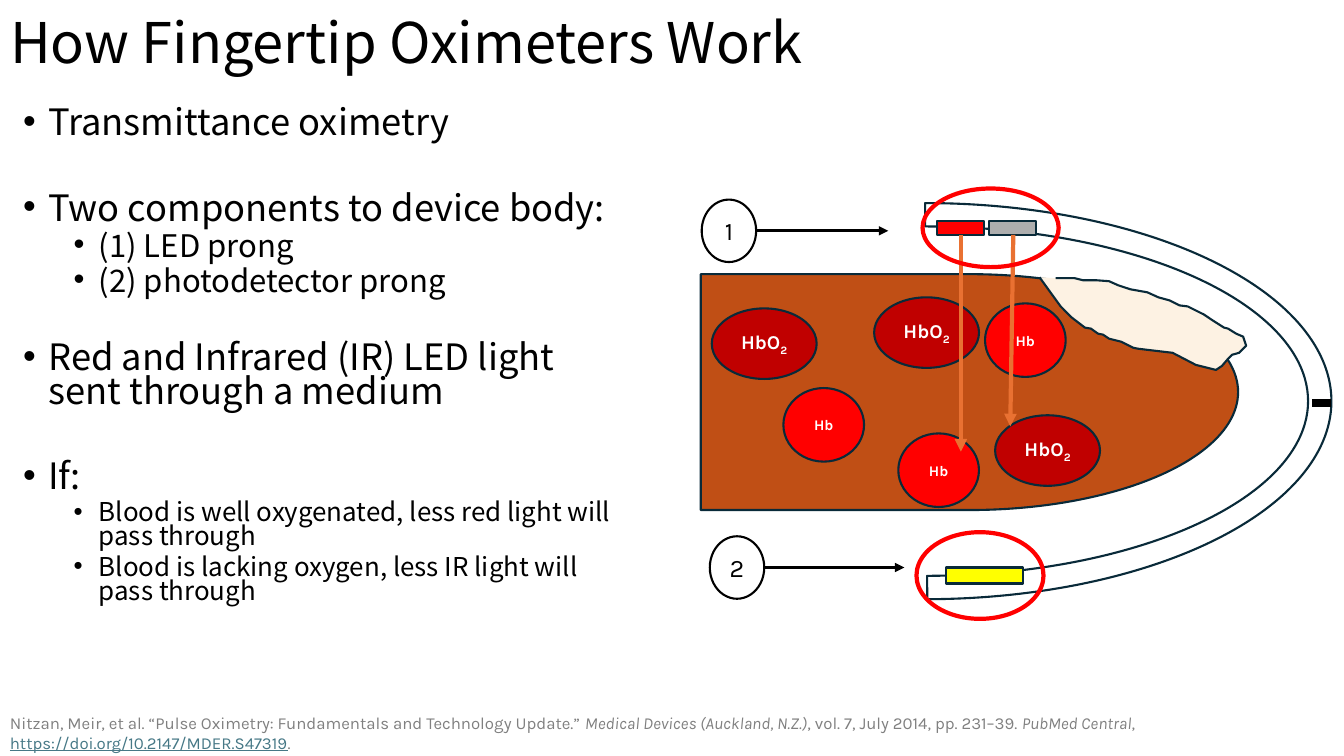
import pptx
import pptx.dml.color
import pptx.enum.shapes
import pptx.enum.text
import pptx.oxml.ns
import pptx.util
from lxml import etree

Inches = pptx.util.Inches
Pt = pptx.util.Pt
SHAPE = pptx.enum.shapes.MSO_SHAPE
ALIGN = pptx.enum.text.PP_ALIGN
ANCHOR = pptx.enum.text.MSO_ANCHOR
qn = pptx.oxml.ns.qn

HEADING_FONT = "Noto Sans CJK JP"
LABEL_FONT = "Karla"
OUTLINE = "092A39"

BULLETS = [
    (0, 25.9, 0, "Transmittance oximetry"),
    (0, 25.9, 37, "Two components to device body:"),
    (1, 22.2, 4.5, "(1) LED prong"),
    (1, 22.2, 4.5, "(2) photodetector prong"),
    (0, 25.9, 33, "Red and Infrared (IR) LED light sent through a medium"),
    (0, 25.9, 37, "If:"),
    (1, 18.5, 4.5, "Blood is well oxygenated, less red light will pass through"),
    (1, 18.5, 4.5, "Blood is lacking oxygen, less IR light will pass through"),
]

CITATION = [
    ("Nitzan, Meir, et al. “Pulse Oximetry: Fundamentals and Technology Update.” ", {}),
    ("Medical Devices (Auckland, N.Z.)", {"italic": True}),
    (", vol. 7, July 2014, pp. 231–39. ", {}),
    ("PubMed Central", {"italic": True}),
    (", ", {}),
    ("https://doi.org/10.2147/MDER.S47319", {"color": "467886", "underline": True}),
    (".", {}),
]

NAIL = [
    (10.31, 2.75), (10.44, 2.93), (10.52, 3.04), (10.63, 3.15), (10.76, 3.25),
    (10.82, 3.26), (10.89, 3.31), (10.94, 3.32), (11, 3.36), (11.12, 3.39),
    (11.24, 3.45), (11.29, 3.46), (11.63, 3.5), (11.86, 3.62), (12.06, 3.67),
    (12.12, 3.63), (12.18, 3.56), (12.22, 3.52), (12.29, 3.5), (12.36, 3.43),
    (12.33, 3.34), (12.26, 3.31), (12.18, 3.26), (12.14, 3.25), (12.03, 3.18),
    (11.94, 3.12), (11.88, 3.09), (11.78, 3.04), (11.7, 3.03), (11.6, 2.98),
    (11.49, 2.95), (11.38, 2.9), (11.21, 2.87), (11.09, 2.83), (11, 2.79),
    (10.87, 2.78), (10.74, 2.78), (10.66, 2.76), (10.47, 2.76),
]


def rgb(color):
    return pptx.dml.color.RGBColor.from_string(color)


def place(shape, left, top, width, height):
    shape.left, shape.top = Inches(left), Inches(top)
    shape.width, shape.height = Inches(width), Inches(height)


def add_span(para, text, size, font, color, bold=False, italic=False, underline=False):
    span = para.add_run()
    span.text = text
    span.font.size = Pt(size)
    span.font.name = font
    span.font.bold = bold
    span.font.italic = italic
    span.font.underline = underline
    span.font.color.rgb = rgb(color)
    return span


def paint(shape, fill, line, weight):
    shape.shadow.inherit = False
    if fill:
        shape.fill.solid()
        shape.fill.fore_color.rgb = rgb(fill)
    else:
        shape.fill.background()
    shape.line.color.rgb = rgb(line)
    shape.line.width = Pt(weight)


def add_shape(page, kind, left, top, width, height, fill, line=OUTLINE, weight=1.5):
    shape = page.shapes.add_shape(
        kind, Inches(left), Inches(top), Inches(width), Inches(height))
    paint(shape, fill, line, weight)
    return shape


def add_label(shape, text, size, color, bold=False, subscript=""):
    frame = shape.text_frame
    frame.word_wrap = False
    frame.vertical_anchor = ANCHOR.MIDDLE
    para = frame.paragraphs[0]
    para.alignment = ALIGN.CENTER
    add_span(para, text, size, LABEL_FONT, color, bold)
    if subscript:
        span = add_span(para, subscript, size, LABEL_FONT, color, bold)
        span.font._element.set("baseline", "-25000")


def add_line(page, start, end, color, weight, arrow=True):
    line = page.shapes.add_connector(
        pptx.enum.shapes.MSO_CONNECTOR.STRAIGHT,
        Inches(start[0]), Inches(start[1]), Inches(end[0]), Inches(end[1]))
    line.line.color.rgb = rgb(color)
    line.line.width = Pt(weight)
    if arrow:
        etree.SubElement(line.line._get_or_add_ln(), qn("a:tailEnd"), type="triangle")
    etree.SubElement(line._element.spPr, qn("a:effectLst"))


def add_oxyhemoglobin(page, left, top):
    cell = add_shape(page, SHAPE.OVAL, left, top, 1.04, 0.7, "C00000")
    add_label(cell, "HbO", 14, "FFFFFF", True, "2")


def add_hemoglobin(page, left, top):
    cell = add_shape(page, SHAPE.OVAL, left, top, 0.8, 0.73, "FF0000")
    add_label(cell, "Hb", 10.5, "FFFFFF", True)


def add_callout(page, number, left, top, arrow_end):
    marker = add_shape(page, SHAPE.OVAL, left, top, 0.54, 0.62, "FFFFFF", "000000")
    add_label(marker, number, 18, "000000")
    middle = top + 0.31
    add_line(page, (left + 0.54, middle), (arrow_end, middle), "000000", 2.25)


def add_nail(page):
    points = [(Inches(x), Inches(y)) for x, y in NAIL]
    builder = page.shapes.build_freeform(*points[0])
    builder.add_line_segments(points[1:], close=False)
    paint(builder.convert_to_shape(), "FDF2E3", OUTLINE, 1.5)


def fill_title(title):
    place(title, 0, -0.01, 11.5, 0.92)
    title.text_frame.vertical_anchor = ANCHOR.MIDDLE
    title.text_frame.auto_size = pptx.enum.text.MSO_AUTO_SIZE.NONE
    para = title.text_frame.paragraphs[0]
    para.alignment = ALIGN.LEFT
    para.line_spacing = 0.9
    add_span(para, "How Fingertip Oximeters Work", 40, HEADING_FONT, "000000")


def fill_body(body):
    place(body, 0.13, 1.03, 6.17, 5.73)
    frame = body.text_frame
    frame.auto_size = pptx.enum.text.MSO_AUTO_SIZE.NONE
    for index, (level, size, before, text) in enumerate(BULLETS):
        para = frame.add_paragraph() if index else frame.paragraphs[0]
        para.level = level
        properties = para._p.get_or_add_pPr()
        properties.set("marL", str(Inches(0.25 + 0.5 * level)))
        properties.set("indent", str(-Inches(0.25)))
        etree.SubElement(properties, qn("a:buFont"), typeface="Arial")
        etree.SubElement(properties, qn("a:buChar"), char="•")
        para.line_spacing = 0.77
        para.space_before = Pt(before)
        add_span(para, text, size, HEADING_FONT, "000000")


def add_citation(page):
    box = page.shapes.add_textbox(Inches(0), Inches(7.02), Inches(11.6), Inches(0.5))
    box.text_frame.word_wrap = True
    para = box.text_frame.paragraphs[0]
    for text, style in CITATION:
        add_span(para, text, 12, LABEL_FONT, **{"color": "808080", **style})


def add_oximeter(page):
    clip = add_shape(page, SHAPE.BLOCK_ARC, 7.21, -0.05, 3.93, 8.06, "FFFFFF")
    clip.rotation = 90
    for index, value in enumerate((108, 215.614, 0.059)):
        clip.adjustments[index] = value
    for left, color in ((9.29, "FF0000"), (9.81, "AEAEAE")):
        add_shape(page, SHAPE.RECTANGLE, left, 2.19, 0.47, 0.14, color)
    add_shape(page, SHAPE.FLOWCHART_DELAY, 6.95, 2.72, 5.33, 2.34, "C04F15")
    for left, top in ((8.67, 2.95), (9.87, 4.12), (7.06, 3.06)):
        add_oxyhemoglobin(page, left, top)
    for left, top in ((8.91, 4.3), (9.77, 3.01), (7.77, 3.85)):
        add_hemoglobin(page, left, top)
    add_line(page, (9.53, 2.33), (9.53, 4.48), "E97132", 3)
    add_line(page, (13.2, 4), (13.01, 4), "000000", 6, arrow=False)
    add_shape(page, SHAPE.RECTANGLE, 9.38, 5.63, 0.77, 0.16, "FFFF00")
    add_line(page, (10.05, 2.33), (10.02, 4.23), "E97132", 3)
    add_nail(page)
    add_callout(page, "1", 6.96, 1.98, 8.81)
    add_callout(page, "2", 7.04, 5.32, 8.97)
    add_shape(page, SHAPE.OVAL, 9.15, 1.87, 1.35, 0.78, None, "FF0000", 3)
    add_shape(page, SHAPE.OVAL, 9.09, 5.28, 1.26, 0.86, None, "FF0000", 3)


def main():
    deck = pptx.Presentation()
    deck.slide_width, deck.slide_height = Inches(13.33), Inches(7.5)
    page = deck.slides.add_slide(deck.slide_layouts[1])
    fill_title(page.shapes.title)
    fill_body(page.placeholders[1])
    add_citation(page)
    add_oximeter(page)
    deck.save("out.pptx")


if __name__ == "__main__":
    main()
